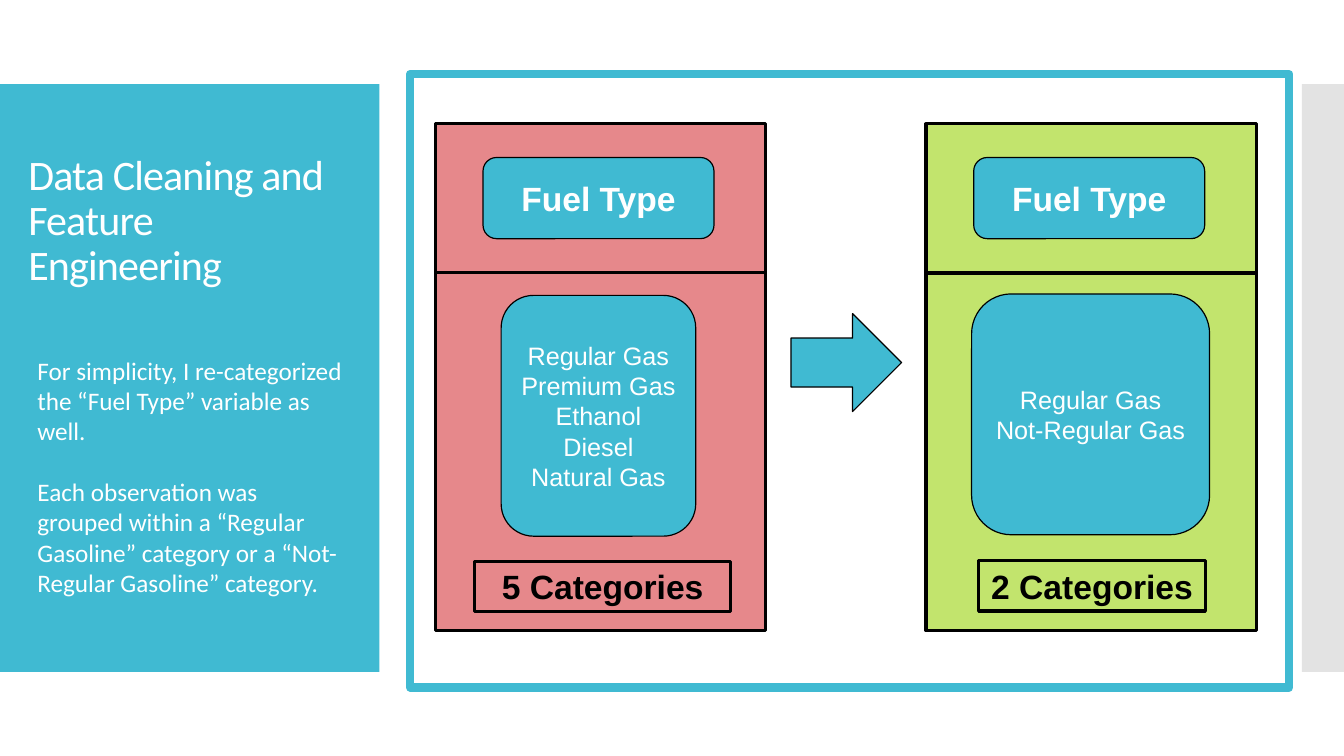
"""Build the fuel type re-categorization slide."""
from dataclasses import dataclass

from lxml.etree import SubElement
from pptx import Presentation
from pptx.dml.color import RGBColor
from pptx.enum.shapes import MSO_CONNECTOR, MSO_SHAPE
from pptx.enum.text import MSO_ANCHOR, MSO_AUTO_SIZE, PP_ALIGN
from pptx.oxml.ns import qn
from pptx.util import Pt

TITLE = "Data Cleaning and Feature Engineering"
NOTES = [
    "For simplicity, I re-categorized the “Fuel Type” variable as well.",
    "Each observation was grouped within a “Regular Gasoline” category or a “Not-Regular Gasoline” category.",
]
PANELS = [
    {
        "left": 311, "fill": "E6888B", "header": "Fuel Type", "divider": 194.5,
        "kinds": ["Regular Gas", "Premium Gas", "Ethanol", "Diesel", "Natural Gas"],
        "kinds_area": (358, 211, 139, 172),
        "count": "5 Categories", "count_area": (339, 401, 183, 36),
    },
    {
        "left": 661.5, "fill": "C2E46D", "header": "Fuel Type", "divider": 195,
        "kinds": ["Regular Gas", "Not-Regular Gas"],
        "kinds_area": (694, 210, 170, 172),
        "count": "2 Categories", "count_area": (699, 400.5, 162, 36),
    },
]
PANEL_TOP, PANEL_WIDTH, PANEL_HEIGHT = 88.5, 236, 362
HEADER_OFFSET = 34


@dataclass(frozen=True)
class Theme:
    """Colours, fonts, type sizes and line widths."""
    accent: str = "40BAD2"
    edge: str = "C8C8C8"
    ink: str = "000000"
    paper: str = "FFFFFF"
    prose: str = "Calibri"
    label: str = "Arial"
    title: float = 30
    heading: float = 24
    text: float = 18
    thin: float = 0.85
    thick: float = 2.25
    frame: float = 6


THEME = Theme()


def apply(target, values):
    """Set every named attribute on the target."""
    for name, value in values.items():
        setattr(target, name, value)


def write(box, lines, size, color, font, bold=False, gap=0, **layout):
    """Fill a shape with evenly formatted paragraphs."""
    frame = box.text_frame
    apply(frame, {"word_wrap": True, "auto_size": MSO_AUTO_SIZE.NONE,
                  "vertical_anchor": layout.pop("anchor", MSO_ANCHOR.MIDDLE)})
    for index, line in enumerate(lines):
        para = frame.paragraphs[0] if index == 0 else frame.add_paragraph()
        properties = para._p.get_or_add_pPr()
        for name in ("marL", "indent"):
            properties.set(name, "0")
        SubElement(properties, qn("a:buNone"))
        apply(para, {"alignment": PP_ALIGN.CENTER, "space_before": Pt(gap if index else 0), **layout})
        span = para.add_run()
        span.text = line
        apply(span.font, {"name": font, "size": Pt(size), "bold": bold})
        span.font.color.rgb = RGBColor.from_string(color)


def draw(page, kind, area, fill=None, line=None, width=0):
    """Add a preset shape with plain fill and outline."""
    shape = page.shapes.add_shape(kind, *map(Pt, area))
    shape.shadow.inherit = False
    if fill:
        shape.fill.solid()
        shape.fill.fore_color.rgb = RGBColor.from_string(fill)
    else:
        shape.fill.background()
    if line:
        shape.line.color.rgb = RGBColor.from_string(line)
        shape.line.width = Pt(width)
    else:
        shape.line.fill.background()
    return shape


def draw_panel(page, panel):
    """Add one column of categories."""
    left = panel["left"]
    outline = {"line": THEME.ink, "width": THEME.thick}
    pill = {"fill": THEME.accent, "line": THEME.ink, "width": THEME.thin}
    draw(page, MSO_SHAPE.RECTANGLE, (left, PANEL_TOP, PANEL_WIDTH, PANEL_HEIGHT), panel["fill"], **outline)

    header = draw(page, MSO_SHAPE.ROUNDED_RECTANGLE, (left + HEADER_OFFSET, 112.5, 165, 58), **pill)
    write(header, [panel["header"]], THEME.heading, THEME.paper, THEME.label, bold=True)

    ends = (left, panel["divider"], left + PANEL_WIDTH, panel["divider"])
    divider = page.shapes.add_connector(MSO_CONNECTOR.STRAIGHT, *map(Pt, ends))
    divider.line.color.rgb = RGBColor.from_string(THEME.ink)
    divider.line.width = Pt(THEME.thick)
    SubElement(divider.element.spPr, qn("a:effectLst"))

    kinds = draw(page, MSO_SHAPE.ROUNDED_RECTANGLE, panel["kinds_area"], **pill)
    write(kinds, panel["kinds"], THEME.text, THEME.paper, THEME.label)

    count = draw(page, MSO_SHAPE.RECTANGLE, panel["count_area"], **outline)
    write(count, [panel["count"]], THEME.heading, THEME.ink, THEME.label, bold=True, anchor=MSO_ANCHOR.TOP)


def place(box, area):
    """Move a placeholder to an area."""
    apply(box, dict(zip(("left", "top", "width", "height"), map(Pt, area))))


def main():
    """Assemble and save the deck."""
    deck = Presentation()
    apply(deck, {"slide_width": Pt(960), "slide_height": Pt(540)})
    page = deck.slides.add_slide(deck.slide_layouts[1])
    title, body = page.placeholders

    sidebar = draw(page, MSO_SHAPE.RECTANGLE, (0, 60, 271, 420), THEME.accent)
    title.element.addprevious(sidebar.element)
    edge = draw(page, MSO_SHAPE.RECTANGLE, (930, 60, 30, 420), THEME.edge)
    color = edge.element.spPr.find(qn("a:solidFill")).find(qn("a:srgbClr"))
    SubElement(color, qn("a:alpha")).set("val", "50000")

    place(title, (13, 93.5, 232, 130))
    write(title, [TITLE], THEME.title, THEME.paper, THEME.prose,
          alignment=PP_ALIGN.LEFT, line_spacing=0.9)
    title.text_frame.paragraphs[0].runs[0]._r.get_or_add_rPr().set("spc", "-60")
    place(body, (19.5, 250, 232, 181.5))
    write(body, NOTES, THEME.text, THEME.paper, THEME.prose, gap=22,
          alignment=PP_ALIGN.LEFT, anchor=MSO_ANCHOR.TOP)

    draw(page, MSO_SHAPE.RECTANGLE, (293, 53, 628, 438), line=THEME.accent, width=THEME.frame)
    for panel in PANELS:
        draw_panel(page, panel)
    draw(page, MSO_SHAPE.RIGHT_ARROW, (565, 224, 79, 70), THEME.accent, THEME.ink, THEME.thin)
    deck.save("out.pptx")


if __name__ == "__main__":
    main()
